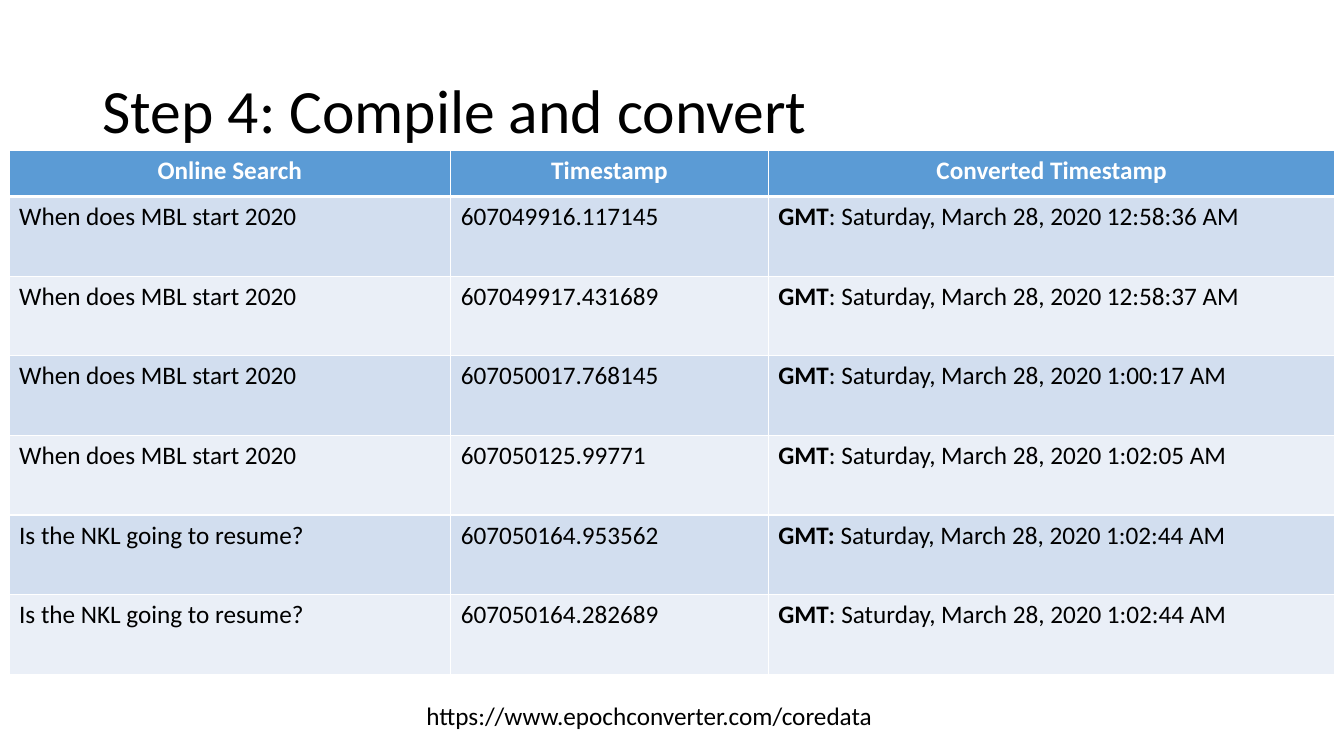
from typing import NamedTuple

from lxml.etree import SubElement
from pptx import Presentation
from pptx.dml.color import RGBColor
from pptx.enum.text import MSO_ANCHOR as Anchor, PP_ALIGN as Align
from pptx.oxml.ns import qn
from pptx.util import Inches, Pt

FONT = "Calibri"
BLACK, WHITE = "000000", "FFFFFF"
HEADER_FILL = "5B9BD5"
BAND_FILLS = ("D2DEEF", "EAEFF7")
COLUMN_WIDTHS = (4.38, 3.15, 5.62)
HEADER_HEIGHT, ROW_HEIGHT = 0.46, 0.79
HEADERS = ("Online Search", "Timestamp", "Converted Timestamp")


class Search(NamedTuple):
    query: str
    timestamp: str
    time: str
    zone: str = "GMT"
    separator: str = ": "


BASEBALL = "When does MBL start 2020"
HOCKEY = "Is the NKL going to resume?"
SEARCHES = (
    Search(BASEBALL, "607049916.117145", "12:58:36 AM"),
    Search(BASEBALL, "607049917.431689", "12:58:37 AM"),
    Search(BASEBALL, "607050017.768145", "1:00:17 AM"),
    Search(BASEBALL, "607050125.99771", "1:02:05 AM"),
    Search(HOCKEY, "607050164.953562", "1:02:44 AM", "GMT: ", ""),
    Search(HOCKEY, "607050164.282689", "1:02:44 AM"),
)


def rgb(color: str) -> RGBColor:
    return RGBColor.from_string(color)


def format_run(r, size: float = 18, color: str = BLACK, bold: bool = False) -> None:
    r.font.name = FONT
    r.font.size = Pt(size)
    r.font.bold = bold
    r.font.color.rgb = rgb(color)


def add_text(slide, text: str, left: float, top: float, width: float,
             height: float, size: float, wrap: bool):
    sp = slide.shapes.add_textbox(Inches(left), Inches(top), Inches(width), Inches(height))
    tf = sp.text_frame
    tf.word_wrap = wrap
    tf.text = text
    format_run(tf.paragraphs[0].runs[0], size)
    return tf


def style_cell(cell, fill: str, top: float = 1, bottom: float = 1) -> None:
    """Give a cell white borders, with top and bottom widths in points, and a fill."""
    tc_pr = cell._tc.get_or_add_tcPr()
    for side, width in (("L", 1), ("R", 1), ("T", top), ("B", bottom)):
        ln = SubElement(tc_pr, qn(f"a:ln{side}"), w=str(Pt(width)))
        SubElement(SubElement(ln, qn("a:solidFill")), qn("a:srgbClr"), val=WHITE)
    cell.fill.solid()
    cell.fill.fore_color.rgb = rgb(fill)


def fill_header(cell, text: str) -> None:
    style_cell(cell, HEADER_FILL, bottom=3)
    p = cell.text_frame.paragraphs[0]
    p.text = text
    p.alignment = Align.CENTER
    format_run(p.runs[0], color=WHITE, bold=True)


def fill_search(cells, search: Search, index: int) -> None:
    contents = (
        [(search.query, False)],
        [(search.timestamp, False)],
        [(search.zone, True),
         (f"{search.separator}Saturday, March 28, 2020 {search.time}", False)],
    )
    for cell, parts in zip(cells, contents):
        style_cell(cell, BAND_FILLS[index % 2], top=3 if index == 0 else 1)
        p = cell.text_frame.paragraphs[0]
        for text, bold in parts:
            r = p.add_run()
            r.text = text
            format_run(r, bold=bold)


def add_search_table(slide) -> None:
    height = HEADER_HEIGHT + ROW_HEIGHT * len(SEARCHES)
    table = slide.shapes.add_table(
        len(SEARCHES) + 1, len(HEADERS), Inches(0.09), Inches(1.49),
        Inches(sum(COLUMN_WIDTHS)), Inches(height)).table
    for column, width in zip(table.columns, COLUMN_WIDTHS):
        column.width = Inches(width)
    header_row, *search_rows = table.rows
    header_row.height = Inches(HEADER_HEIGHT)
    for cell, text in zip(header_row.cells, HEADERS):
        fill_header(cell, text)
    for index, (row, search) in enumerate(zip(search_rows, SEARCHES)):
        row.height = Inches(ROW_HEIGHT)
        fill_search(row.cells, search, index)


def main() -> None:
    prs = Presentation()
    prs.slide_width, prs.slide_height = Inches(13.33), Inches(7.5)
    slide = prs.slides.add_slide(prs.slide_layouts[6])
    title = add_text(slide, "Step 4: Compile and convert", 0.92, 0.4, 11.5, 1.45, 44, True)
    title.vertical_anchor = Anchor.MIDDLE
    title.paragraphs[0].line_spacing = 0.9
    add_search_table(slide)
    add_text(slide, "https://www.epochconverter.com/coredata", 4.13, 6.9, 4.68, 0.4, 18, False)
    prs.save("out.pptx")


if __name__ == "__main__":
    main()
